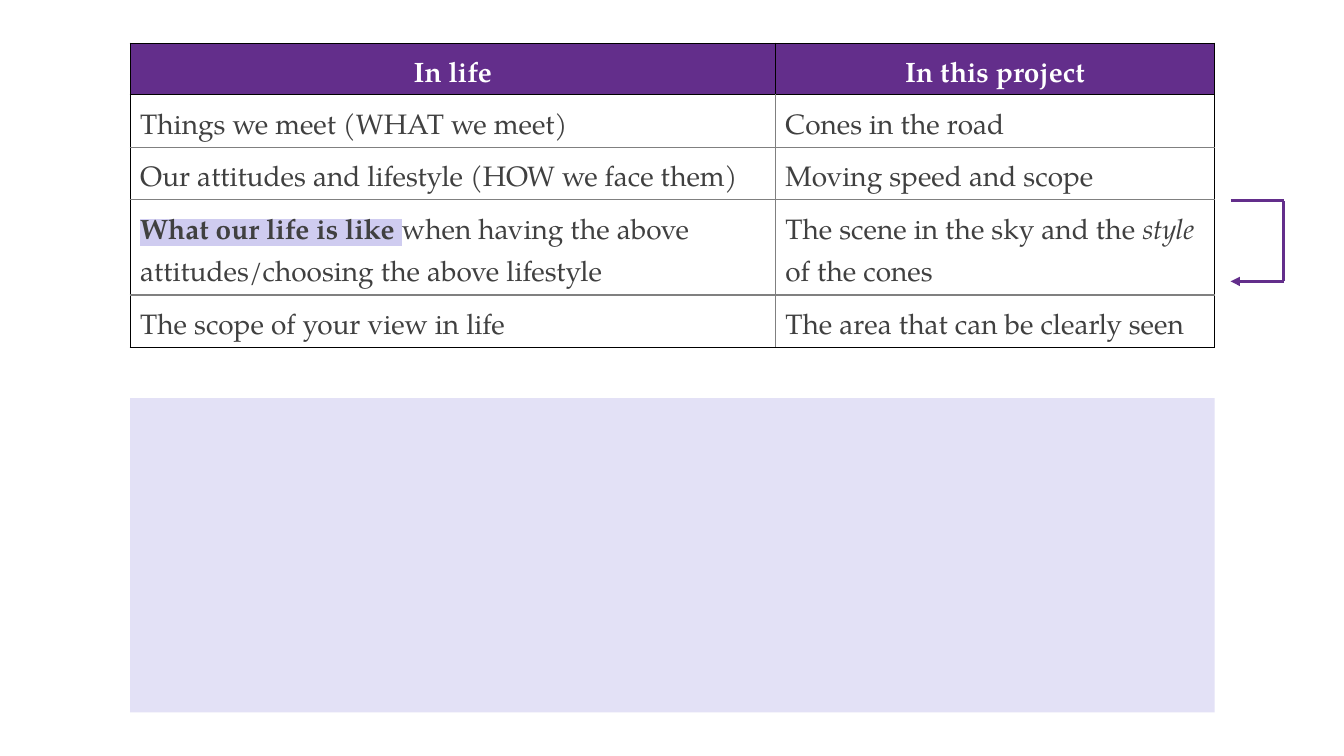
"""Builds a slide that maps ideas in life to their counterparts in the project."""
import pptx
import pptx.dml.color
import pptx.enum.dml
import pptx.enum.shapes
import pptx.enum.text
import pptx.oxml
import pptx.oxml.ns
import pptx.util
from pptx.util import Cm

FONT = "TeX Gyre Pagella"
COLORS = {"purple": "632E8B", "lilac": "CFCCF0", "panel": "E3E0F6", "text": "404040",
          "white": "FFFFFF", "outer": "000000", "inner": "808080"}
ROWS = [
    ([("In life", "")], [("In this project", "")]),
    ([("Things we meet (WHAT we meet)", "")], [("Cones in the road", "")]),
    ([("Our attitudes and lifestyle (HOW we face them)", "")],
     [("Moving speed and scope", "")]),
    ([("What our life is like ", "marked"),
      ("when having the above attitudes/choosing the above lifestyle", "")],
     [("The scene in the sky and the ", ""), ("style", "italic"), (" of the cones", "")]),
    ([("The scope of your view in life", "")], [("The area that can be clearly seen", "")]),
]
LEFT, TOP, PANEL_TOP, PANEL_HEIGHT = 3.28, 1.09, 10.03, 7.92
COLUMN_WIDTHS = (16.26, 11.07)
ROW_HEIGHTS = (1.3, 1.32, 1.32, 2.4, 1.32)
BRACKET = [(31.01, 5.06), (32.35, 5.06), (32.35, 7.09), (31.01, 7.09)]


def rgb(name):
    return pptx.dml.color.RGBColor.from_string(COLORS[name])


def xml(tag, content=""):
    return pptx.oxml.parse_xml(
        f'<a:{tag} {pptx.oxml.ns.nsdecls("a")}>{content}</a:{tag.split()[0]}>')


def add_borders(cell, row, column):
    edges = {"lnL": column == 0, "lnR": row == 0 or column == 1,
             "lnT": row <= 1, "lnB": row in (0, len(ROWS) - 1)}
    if row == 0:
        edges = dict.fromkeys(edges, True)
    properties = cell._tc.get_or_add_tcPr()
    for position, (edge, outer) in enumerate(edges.items()):
        color = COLORS["outer" if outer else "inner"]
        line = xml(f'{edge} w="12700"',
                   f'<a:solidFill><a:srgbClr val="{color}"/></a:solidFill>')
        properties.insert(position, line)


def fill_cell(cell, runs, header):
    if header:
        cell.fill.solid()
        cell.fill.fore_color.rgb = rgb("purple")
    else:
        cell.fill.background()
    para = cell.text_frame.paragraphs[0]
    para.line_spacing = 1.5
    if header:
        para.alignment = pptx.enum.text.PP_ALIGN.CENTER
    para.font.name = FONT
    para.font.size = pptx.util.Pt(20)
    para.font.bold = header
    para.font.color.rgb = rgb("white" if header else "text")
    for text, style in runs:
        span = para.add_run()
        span.text = text
        if style == "italic":
            span.font.italic = True
        elif style == "marked":
            span.font.bold = True
            span.font._element.append(
                xml("highlight", f'<a:srgbClr val="{COLORS["lilac"]}"/>'))


def add_comparison(page):
    table = page.shapes.add_table(
        len(ROWS), len(COLUMN_WIDTHS), Cm(LEFT), Cm(TOP),
        Cm(sum(COLUMN_WIDTHS)), Cm(sum(ROW_HEIGHTS))).table
    table.first_row = table.horz_banding = False
    for column, width in zip(table.columns, COLUMN_WIDTHS):
        column.width = Cm(width)
    for row, height in zip(table.rows, ROW_HEIGHTS):
        row.height = Cm(height)
    for row, cells in enumerate(ROWS):
        for column, runs in enumerate(cells):
            cell = table.cell(row, column)
            fill_cell(cell, runs, row == 0)
            add_borders(cell, row, column)


def add_panel(page):
    panel = page.shapes.add_shape(
        pptx.enum.shapes.MSO_SHAPE.RECTANGLE, Cm(LEFT), Cm(PANEL_TOP),
        Cm(sum(COLUMN_WIDTHS)), Cm(PANEL_HEIGHT))
    panel.shadow.inherit = False
    panel.fill.solid()
    panel.fill.fore_color.rgb = rgb("lilac")
    color = panel.fill._xPr.find(".//" + pptx.oxml.ns.qn("a:srgbClr"))
    color.append(xml('alpha val="58000"'))
    panel.line.fill.background()


def add_bracket(page):
    for start, end in zip(BRACKET, BRACKET[1:]):
        line = page.shapes.add_connector(
            pptx.enum.shapes.MSO_CONNECTOR.STRAIGHT, *map(Cm, start + end))
        line.line.color.rgb = rgb("purple")
        line.line.width = pptx.util.Pt(2.25)
        if end == BRACKET[-1]:
            line.line._get_or_add_ln().append(xml('tailEnd type="triangle"'))
        line._element.spPr.append(xml("effectLst"))


def main():
    deck = pptx.Presentation()
    deck.slide_width, deck.slide_height = Cm(33.87), Cm(19.05)
    page = deck.slides.add_slide(deck.slide_layouts[6])
    add_comparison(page)
    add_panel(page)
    add_bracket(page)
    deck.save("out.pptx")


if __name__ == "__main__":
    main()
